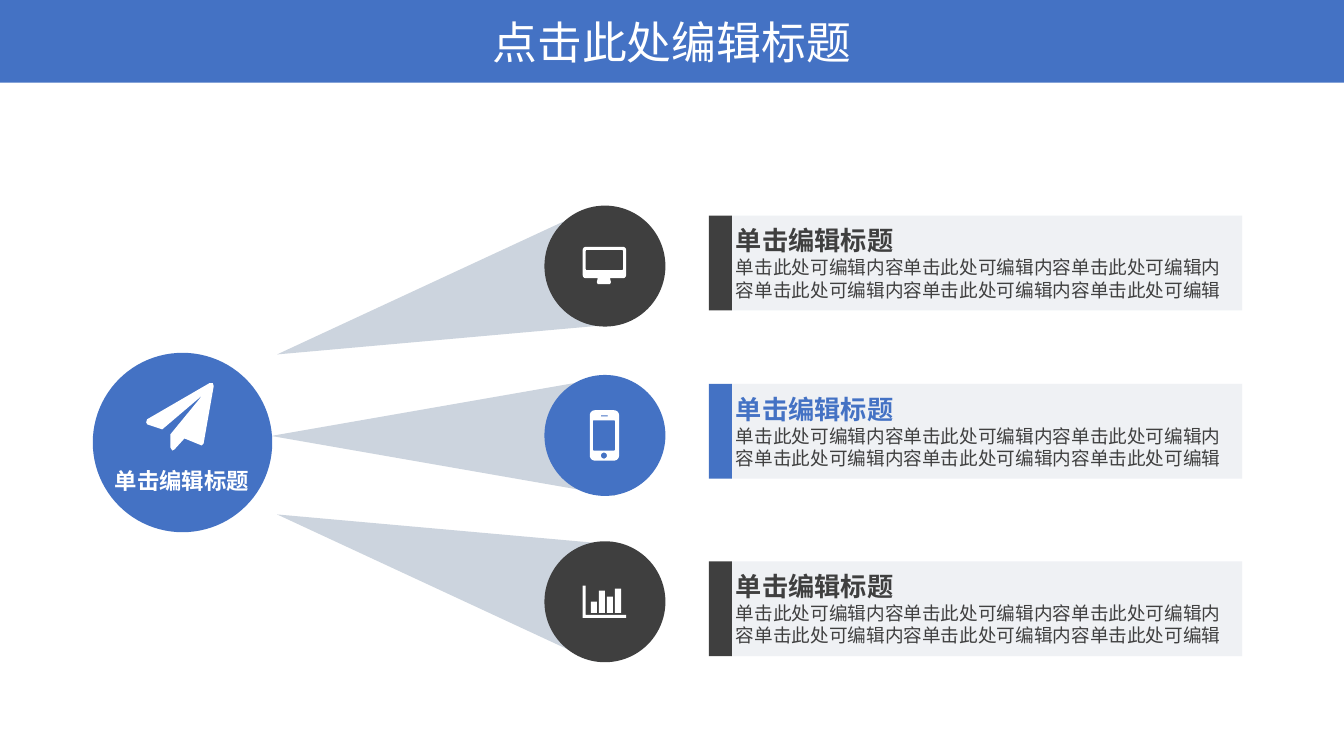
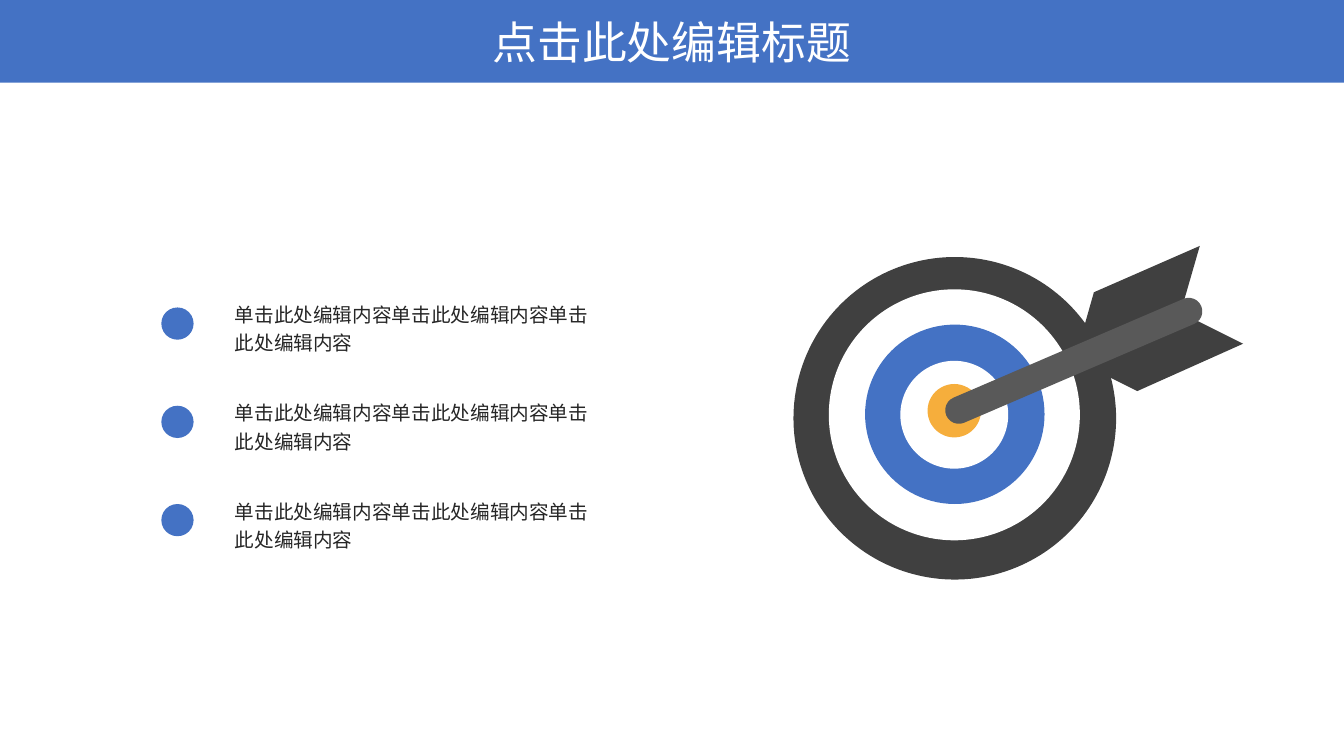
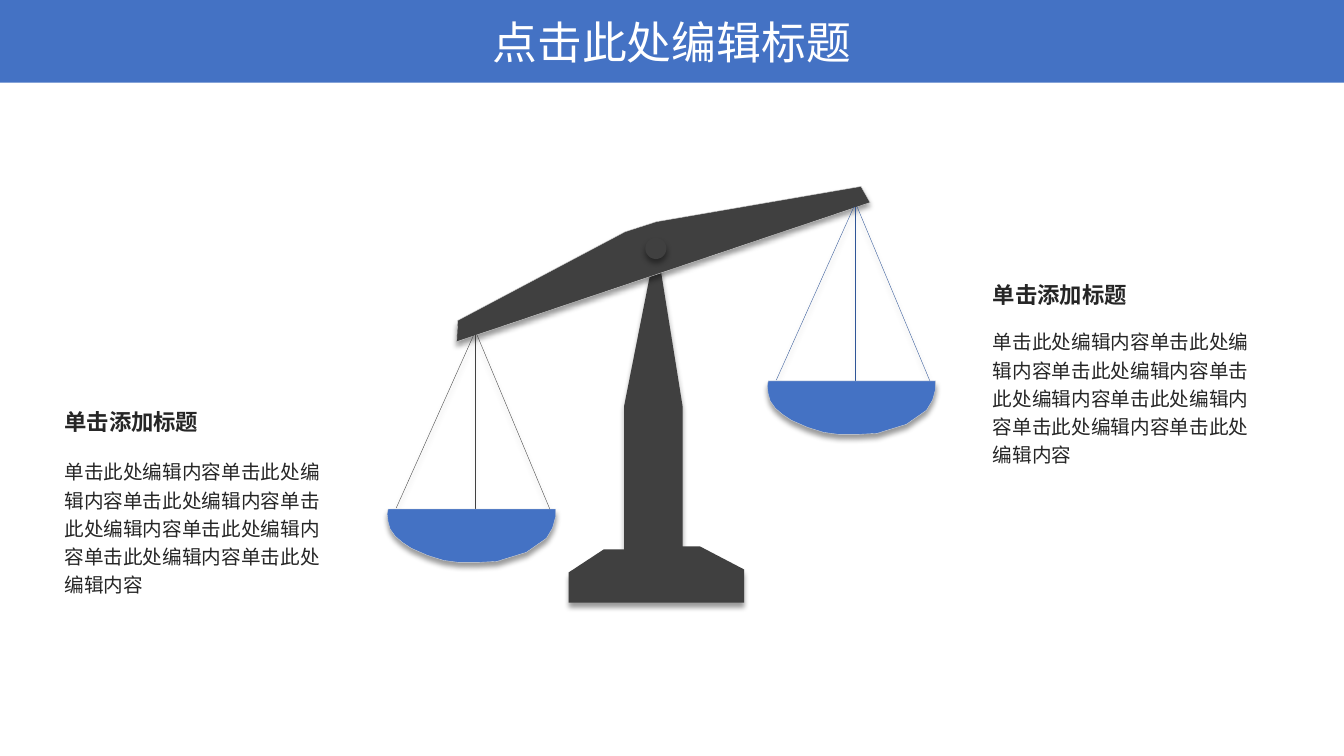
from math import atan2, cos, degrees, hypot, pi, sin

from lxml.etree import SubElement
from pptx import Presentation
from pptx.dml.color import RGBColor
from pptx.enum.shapes import MSO_CONNECTOR as CONN, MSO_SHAPE as SHAPE
from pptx.enum.text import MSO_ANCHOR as ANCHOR, MSO_AUTO_SIZE as AUTO, PP_ALIGN as ALIGN
from pptx.oxml.ns import qn
from pptx.util import Inches, Pt

# Shared style
FONT = "Noto Sans CJK SC"
BLUE, DARK, WHITE = "4472C4", "404040", "FFFFFF"
CHARCOAL, INK, SHAFT, ORANGE = "3F3F3F", "262626", "595959", "F6AE3C"
BEAM, CARD, EDGE, NAVY = "CCD4DE", "EBEEF2", "D7D7D7", "2F5597"
TITLE = "点击此处编辑标题"
EDIT = "单击此处编辑内容"
TITLE_LAYOUT = 5

prs = Presentation()
prs.slide_width, prs.slide_height = Inches(13.33), Inches(7.5)


# Drawing helpers
def rgb(color):
    return RGBColor.from_string(color)


def add_effects(sp, shadow):
    effects = SubElement(sp._element.spPr, qn("a:effectLst"))
    if shadow:
        outer = SubElement(effects, qn("a:outerShdw"), blurRad=str(Pt(4)), dist=str(Pt(3)),
                           dir="5400000", algn="t", rotWithShape="0")
        clr = SubElement(outer, qn("a:srgbClr"), val="000000")
        SubElement(clr, qn("a:alpha"), val="40000")


def paint(sp, fill, line=None, shadow=False, alpha=None):
    sp.fill.solid()
    sp.fill.fore_color.rgb = rgb(fill)
    if alpha:
        clr = sp._element.spPr.find(qn("a:solidFill"))[0]
        SubElement(clr, qn("a:alpha"), val=str(alpha * 1000))
    if line:
        sp.line.color.rgb = rgb(line)
        sp.line.width = Pt(0.25)
    else:
        sp.line.fill.background()
    add_effects(sp, shadow)
    return sp


def add_preset(slide, kind, x, y, w, h, fill, **style):
    sp = slide.shapes.add_shape(kind, Inches(x), Inches(y), Inches(w), Inches(h))
    return paint(sp, fill, **style)


def add_circle(slide, x, y, d, fill, **style):
    return add_preset(slide, SHAPE.OVAL, x, y, d, d, fill, **style)


def add_outline(slide, contours, fill, **style):
    builder = None
    for contour in contours:
        pts = [(Inches(x), Inches(y)) for x, y in contour]
        if builder is None:
            builder = slide.shapes.build_freeform(*pts[0], scale=1.0)
        else:
            builder.move_to(*pts[0])
        builder.add_line_segments(pts[1:], close=True)
    return paint(builder.convert_to_shape(), fill, **style)


def add_string(slide, start, end, color):
    line = slide.shapes.add_connector(CONN.STRAIGHT, *map(Inches, start + end))
    line.line.color.rgb = rgb(color)
    line.line.width = Pt(0.25)
    add_effects(line, True)


def format_run(r, size, color, bold=False):
    r.font.size, r.font.bold, r.font.name = Pt(size), bold, FONT
    r.font.color.rgb = rgb(color)
    SubElement(r._r.get_or_add_rPr(), qn("a:ea"), typeface=FONT)


def add_text(slide, x, y, w, h, lines, align=ALIGN.LEFT, spacing=None, inset=True):
    """Each line is (text, size, color, bold)."""
    tf = slide.shapes.add_textbox(Inches(x), Inches(y), Inches(w), Inches(h)).text_frame
    tf.word_wrap = True
    if not inset:
        tf.margin_left = tf.margin_right = tf.margin_top = tf.margin_bottom = 0
    tf.text = "\n".join(line[0] for line in lines)
    for p, (_, *style) in zip(tf.paragraphs, lines):
        p.alignment = align
        if spacing:
            p.line_spacing = spacing
        format_run(p.runs[0], *style)


def new_slide():
    slide = prs.slides.add_slide(prs.slide_layouts[TITLE_LAYOUT])
    band = add_preset(slide, SHAPE.RECTANGLE, 0, 0, 13.33, 0.82, BLUE)
    slide.shapes._spTree.insert(2, band._element)
    title = slide.shapes.title
    title.left, title.top, title.width, title.height = map(Inches, (4.66, 0.09, 4.01, 0.64))
    tf = title.text_frame
    tf.text = TITLE
    tf.auto_size, tf.vertical_anchor = AUTO.NONE, ANCHOR.MIDDLE
    p = tf.paragraphs[0]
    p.alignment = ALIGN.CENTER
    format_run(p.runs[0], 32, WHITE)
    return slide


# Icon contours
def box(x, y, w, h):
    return [(x, y), (x + w, y), (x + w, y + h), (x, y + h)]


def rounded(x, y, w, h, r, steps=6):
    corners = [(x + w - r, y + h - r), (x + r, y + h - r), (x + r, y + r), (x + w - r, y + r)]
    return [(cx + r * cos(a), cy + r * sin(a))
            for i, (cx, cy) in enumerate(corners)
            for a in ((i + k / steps) * pi / 2 for k in range(steps + 1))]


MONITOR = [
    rounded(5.78, 2.45, 0.43, 0.31, 0.03),
    rounded(5.81, 2.48, 0.37, 0.2, 0.01),
    [(5.93, 2.76), (6.05, 2.76), (6.06, 2.8), (6.05, 2.82), (5.93, 2.82), (5.92, 2.8)],
]
PHONE = [
    rounded(5.85, 4.07, 0.29, 0.5, 0.05),
    rounded(5.88, 4.17, 0.22, 0.3, 0.01),
    box(5.96, 4.12, 0.07, 0.01),
    rounded(5.96, 4.49, 0.06, 0.06, 0.03),
]
CHART = [[(5.78, 5.81), (5.81, 5.81), (5.81, 6.1), (6.21, 6.1), (6.21, 6.13), (5.78, 6.13)]]
CHART += [box(5.86 + 0.08 * i, top, 0.06, 6.08 - top)
          for i, top in enumerate((5.97, 5.86, 5.92, 5.84))]
PLANE = [[(2.12, 3.83), (2.02, 4.4), (2, 4.42), (1.83, 4.35), (1.73, 4.46), (1.71, 4.47),
          (1.69, 4.44), (1.69, 4.31), (2.01, 3.92), (1.61, 4.26), (1.46, 4.21), (1.45, 4.19),
          (1.46, 4.16), (2.08, 3.8), (2.11, 3.8)]]


# Slide 1: one source with three branches
CARD_TITLE = "单击编辑标题"
CARD_BODY = "单击此处可编辑内容" * 5 + "单击此处可编辑"
BRANCHES = [  # beam top, beam angle, circle top, card top, colour, icon
    (1.37, 75, 2.04, 2.14, CHARCOAL, MONITOR),
    (3.84, 105, 5.37, 5.57, CHARCOAL, CHART),
    (2.62, 90, 3.72, 3.81, BLUE, PHONE),
]


def build_branches():
    slide = new_slide()
    for beam_y, angle, circle_y, card_y, color, icon in BRANCHES:
        beam = add_preset(slide, SHAPE.FLOWCHART_MERGE, 3.8, beam_y, 1.19, 3.41, BEAM)
        beam.rotation = angle
        add_circle(slide, 5.4, circle_y, 1.2, color)
        add_outline(slide, icon, WHITE)
        add_preset(slide, SHAPE.RECTANGLE, 7.25, card_y, 5.07, 0.94, CARD, alpha=80)
        add_preset(slide, SHAPE.RECTANGLE, 7.03, card_y, 0.23, 0.94, color)
        add_text(slide, 7.3, card_y + 0.09, 4.94, 0.76,
                 [(CARD_TITLE, 18.7, color, True), (CARD_BODY, 13.3, DARK)], inset=False)
    add_circle(slide, 0.92, 3.5, 1.78, BLUE)
    add_outline(slide, PLANE, WHITE)
    add_text(slide, 1.07, 4.63, 1.47, 0.27, [(CARD_TITLE, 16, WHITE, True)],
             align=ALIGN.CENTER, inset=False)


# Slide 2: target with arrow and three points
RINGS = [  # left, top, diameter, colour
    (7.87, 2.55, 3.2, DARK), (8.22, 2.87, 2.49, WHITE), (8.58, 3.22, 1.78, BLUE),
    (8.93, 3.58, 1.07, WHITE), (9.2, 3.81, 0.53, ORANGE),
]
FEATHERS = [
    [(10.66, 3.57), (10.85, 2.9), (11.9, 2.44), (11.71, 3.1)],
    [(10.66, 3.57), (11.28, 3.88), (12.33, 3.41), (11.71, 3.1)],
]
SHAFT_FROM, SHAFT_TO, SHAFT_WIDTH = (9.51, 4.07), (11.79, 3.09), 0.27
POINTS = [EDIT * 3] * 3


def build_target():
    slide = new_slide()
    for ring in RINGS:
        add_circle(slide, *ring)
    for feather in FEATHERS:
        add_outline(slide, [feather], DARK)
    (x1, y1), (x2, y2) = SHAFT_FROM, SHAFT_TO
    length = hypot(x2 - x1, y2 - y1) + SHAFT_WIDTH
    shaft = add_preset(slide, SHAPE.ROUNDED_RECTANGLE, (x1 + x2 - length) / 2,
                       (y1 + y2 - SHAFT_WIDTH) / 2, length, SHAFT_WIDTH, SHAFT)
    shaft.adjustments[0] = 0.5
    shaft.rotation = degrees(atan2(y2 - y1, x2 - x1))
    for i, text in enumerate(POINTS):
        y = 2.91 + 0.975 * i
        add_circle(slide, 1.6, y + 0.14, 0.32, BLUE)
        add_text(slide, 2.23, y, 3.88, 0.64, [(text, 14, INK)], spacing=1.2)


# Slide 3: tilted scales with two texts
STAND = [(6.51, 2.41), (6.77, 4.03), (6.77, 5.42), (6.94, 5.42), (7.38, 5.65), (7.38, 5.98),
         (5.64, 5.98), (5.64, 5.68), (5.99, 5.45), (6.19, 5.45), (6.19, 4.03)]
ARM = [(4.53, 3.39), (8.63, 2.01), (8.54, 1.85), (6.51, 2.2), (6.2, 2.3), (4.54, 3.18)]
HOOKS = [(8.48, 2.05, NAVY), (4.71, 3.32, DARK)]
# Strings and pan are measured from their hook
STRINGS = [((0.02, 0), (0.76, 1.77)), ((0, 0), (0, 1.76)), ((-0.01, 0), (-0.78, 1.72))]
PAN = [(-0.86, 1.73), (-0.87, 1.78), (-0.86, 1.86), (-0.84, 1.93), (-0.79, 2), (-0.72, 2.06),
       (-0.63, 2.12), (-0.47, 2.19), (-0.31, 2.24), (-0.16, 2.26), (0.03, 2.26), (0.22, 2.25),
       (0.38, 2.2), (0.51, 2.16), (0.61, 2.09), (0.71, 2.02), (0.77, 1.92), (0.8, 1.81),
       (0.8, 1.73)]
SIDES = [  # left, heading top, body top
    (9.75, 2.74, 3.18), (0.54, 4, 4.47),
]


def build_scales():
    slide = new_slide()
    add_outline(slide, [STAND], DARK, shadow=True)
    add_outline(slide, [ARM], DARK, line=EDGE, shadow=True)
    add_circle(slide, 6.4, 2.36, 0.21, DARK, shadow=True)
    for hx, hy, color in HOOKS:
        for ends in STRINGS:
            start, end = [(hx + x, hy + y) for x, y in ends]
            add_string(slide, start, end, color)
        add_outline(slide, [[(hx + x, hy + y) for x, y in PAN]], BLUE, line=EDGE, shadow=True)
    for x, heading_y, body_y in SIDES:
        add_text(slide, x, heading_y, 1.82, 0.37, [("单击添加标题", 16, INK, True)])
        add_text(slide, x, body_y, 2.89, 1.51, [(EDIT * 7, 14, INK)], spacing=1.2)


def main():
    build_branches()
    build_target()
    build_scales()
    prs.save("out.pptx")


if __name__ == "__main__":
    main()
